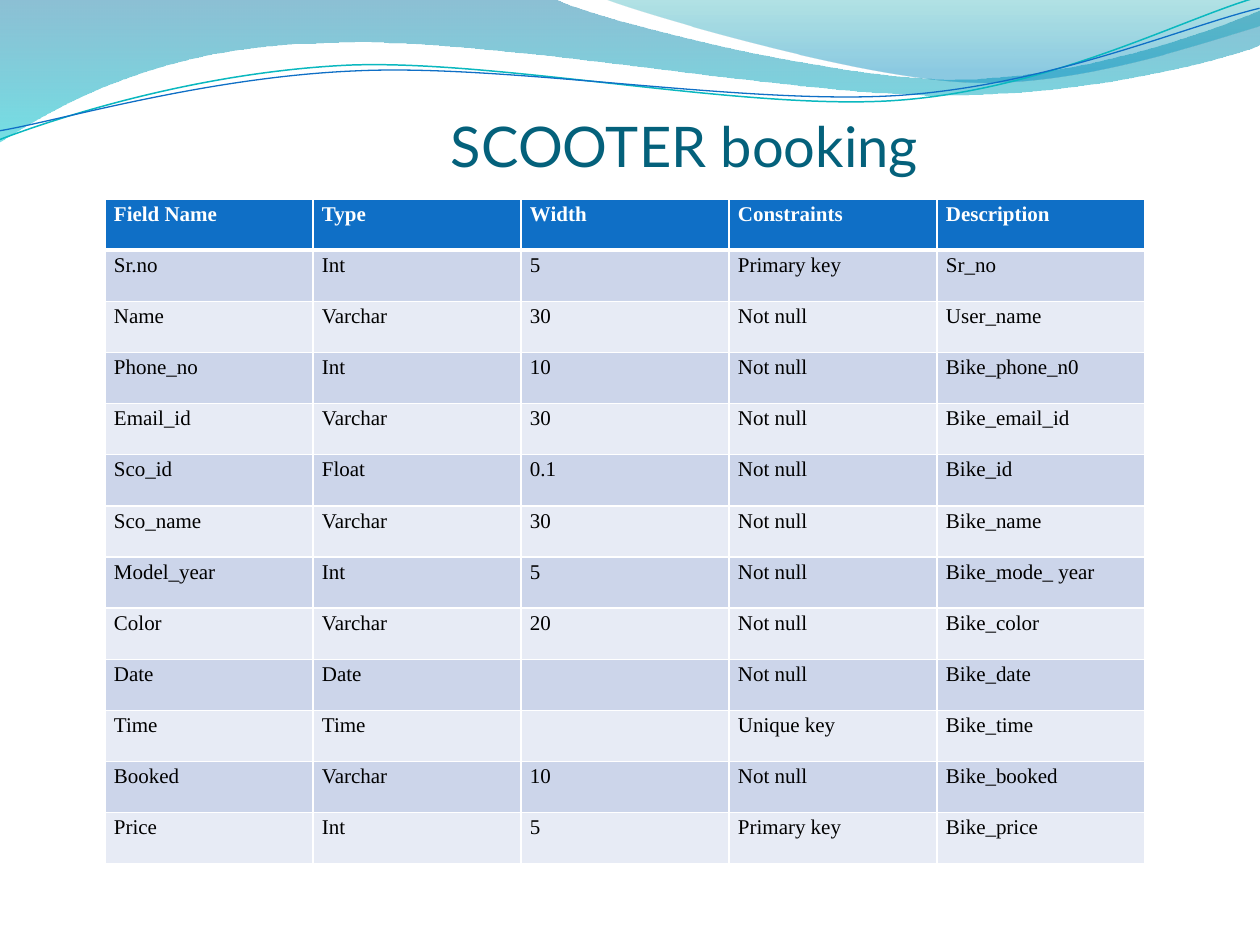
from pptx import Presentation
from pptx.dml.color import RGBColor as RGB
from pptx.enum.text import MSO_ANCHOR as ANCHOR
from pptx.oxml.ns import qn
from pptx.util import Pt
from lxml.etree import SubElement

SCALE = 914400 / 126
COLORS = {
    "title": "04617B", "header": "0F6FC6", "odd": "CCD5EA", "even": "E7EBF5",
    "white": "FFFFFF", "black": "000000", "teal": "0AB8BF", "blue": "0F6FC6",
    "wave_top": "0074A1", "wave_bottom": "00C6CF",
    "crest_top": "00A1A9", "crest_bottom": "008BBF",
}
HEADINGS = ("Field Name", "Type", "Width", "Constraints", "Description")
FIELDS = [
    ("Sr.no", "Int", "5", "Primary key", "Sr_no"),
    ("Name", "Varchar", "30", "Not null", "User_name"),
    ("Phone_no", "Int", "10", "Not null", "Bike_phone_n0"),
    ("Email_id", "Varchar", "30", "Not null", "Bike_email_id"),
    ("Sco_id", "Float", "0.1", "Not null", "Bike_id"),
    ("Sco_name", "Varchar", "30", "Not null", "Bike_name"),
    ("Model_year", "Int", "5", "Not null", "Bike_mode_ year"),
    ("Color", "Varchar", "20", "Not null", "Bike_color"),
    ("Date", "Date", "", "Not null", "Bike_date"),
    ("Time", "Time", "", "Unique key", "Bike_time"),
    ("Booked", "Varchar", "10", "Not null", "Bike_booked"),
    ("Price", "Int", "5", "Primary key", "Bike_price"),
]
WAVE = [
    (0, 0), (554, -1), (600, 21, 837, 79, 955, 79), (1075, 79, 1207, 33, 1260, 11),
    (1261, 45), (1239, 55, 1096, 96, 940, 95), (784, 95, 481, 35, 324, 43),
    (163, 45, 58, 105, -1, 142),
]
CREST = [
    (604, -1), (641, 14, 859, 78, 969, 82), (1079, 87, 1211, 40, 1260, 26), (1260, 0),
]
TEAL_CURVE = [
    (-3, 110), (58, 90, 199, 52, 349, 52), (499, 53, 745, 117, 896, 113),
    (1049, 109, 1184, 45, 1260, 27),
]
BLUE_CURVE = [
    (-2, 101), (57, 94, 207, 57, 357, 58), (509, 58, 750, 112, 902, 108),
    (1052, 104, 1188, 52, 1262, 38),
]


def px(n):
    return round(n * SCALE)


def color(name):
    return RGB.from_string(COLORS[name])


def bend(sp, segments):
    lines = iter(list(sp._element.spPr.iter(qn("a:lnTo"))))
    for seg in segments[1:]:
        node = next(lines)
        if len(seg) == 6:
            node.tag = qn("a:cubicBezTo")
            for _ in range(2):
                extra = next(lines)
                node.append(extra[0])
                extra.getparent().remove(extra)


def add_outline(slide, segments, closed):
    points = [(px(seg[i]), px(seg[i + 1])) for seg in segments for i in range(0, len(seg), 2)]
    builder = slide.shapes.build_freeform(*points[0], scale=1.0)
    builder.add_line_segments(points[1:], close=closed)
    sp = builder.convert_to_shape()
    bend(sp, segments)
    sp.shadow.inherit = False
    return sp


def add_wave(slide, segments, stops):
    sp = add_outline(slide, segments, True)
    sp.line.fill.background()
    sp.fill.gradient()
    sp.fill.gradient_angle = 270
    for stop, (position, name, _) in zip(sp.fill.gradient_stops, stops):
        stop.position = position
        stop.color.rgb = color(name)
    for clr, (_, _, opacity) in zip(sp._element.spPr.iter(qn("a:srgbClr")), stops):
        SubElement(clr, qn("a:alpha"), val=str(opacity * 1000))


def add_curve(slide, segments, name, width):
    sp = add_outline(slide, segments, False)
    sp.rotation = 357.3
    sp.fill.background()
    sp.line.color.rgb = color(name)
    sp.line.width = Pt(width)


def set_font(p, name, size, color_name, bold=False):
    p.font.name = name
    p.font.size = Pt(size)
    p.font.bold = bold
    p.font.color.rgb = color(color_name)


def add_title(slide, text):
    tf = slide.shapes.add_textbox(px(63), px(97), px(1144), px(82)).text_frame
    tf.word_wrap = True
    tf.vertical_anchor = ANCHOR.BOTTOM
    tf.margin_left = px(388)
    tf.margin_right = tf.margin_bottom = 0
    p = tf.paragraphs[0]
    p.text = text
    set_font(p, "Lato", 32, "title")


def add_borders(cell, top, bottom):
    tc_pr = cell._tc.get_or_add_tcPr()
    for side, width in (("L", 1), ("R", 1), ("T", top), ("B", bottom)):
        ln = SubElement(tc_pr, qn(f"a:ln{side}"), w=str(Pt(width)))
        fill = SubElement(ln, qn("a:solidFill"))
        SubElement(fill, qn("a:srgbClr"), val=COLORS["white"])


def fill_cell(cell, text, row):
    header = row == 0
    add_borders(cell, 3 if row == 1 else 1, 3 if header else 1)
    cell.fill.solid()
    cell.fill.fore_color.rgb = color("header" if header else "odd" if row % 2 else "even")
    cell.margin_left = cell.margin_right = px(9)
    cell.margin_top = cell.margin_bottom = 0
    p = cell.text_frame.paragraphs[0]
    p.text = text
    p.line_spacing = 1.15
    set_font(p, "Times New Roman", 12, "white" if header else "black", header)


def add_field_table(slide, rows):
    table = slide.shapes.add_table(
        len(rows), len(rows[0]), px(105), px(199), px(1040), px(665)).table
    for r, values in enumerate(rows):
        for c, text in enumerate(values):
            fill_cell(table.cell(r, c), text, r)


def main():
    """Build the scooter booking slide."""
    prs = Presentation()
    prs.slide_width, prs.slide_height = px(1260), px(945)
    slide = prs.slides.add_slide(prs.slide_layouts[6])
    add_wave(slide, WAVE, [(0, "wave_top", 45), (1, "wave_bottom", 55)])
    add_wave(slide, CREST, [(0, "crest_top", 30), (0.8, "crest_bottom", 45)])
    add_curve(slide, TEAL_CURVE, "teal", 0.85)
    add_curve(slide, BLUE_CURVE, "blue", 0.75)
    add_title(slide, "SCOOTER booking")
    add_field_table(slide, [HEADINGS, *FIELDS])
    prs.save("out.pptx")


if __name__ == "__main__":
    main()
